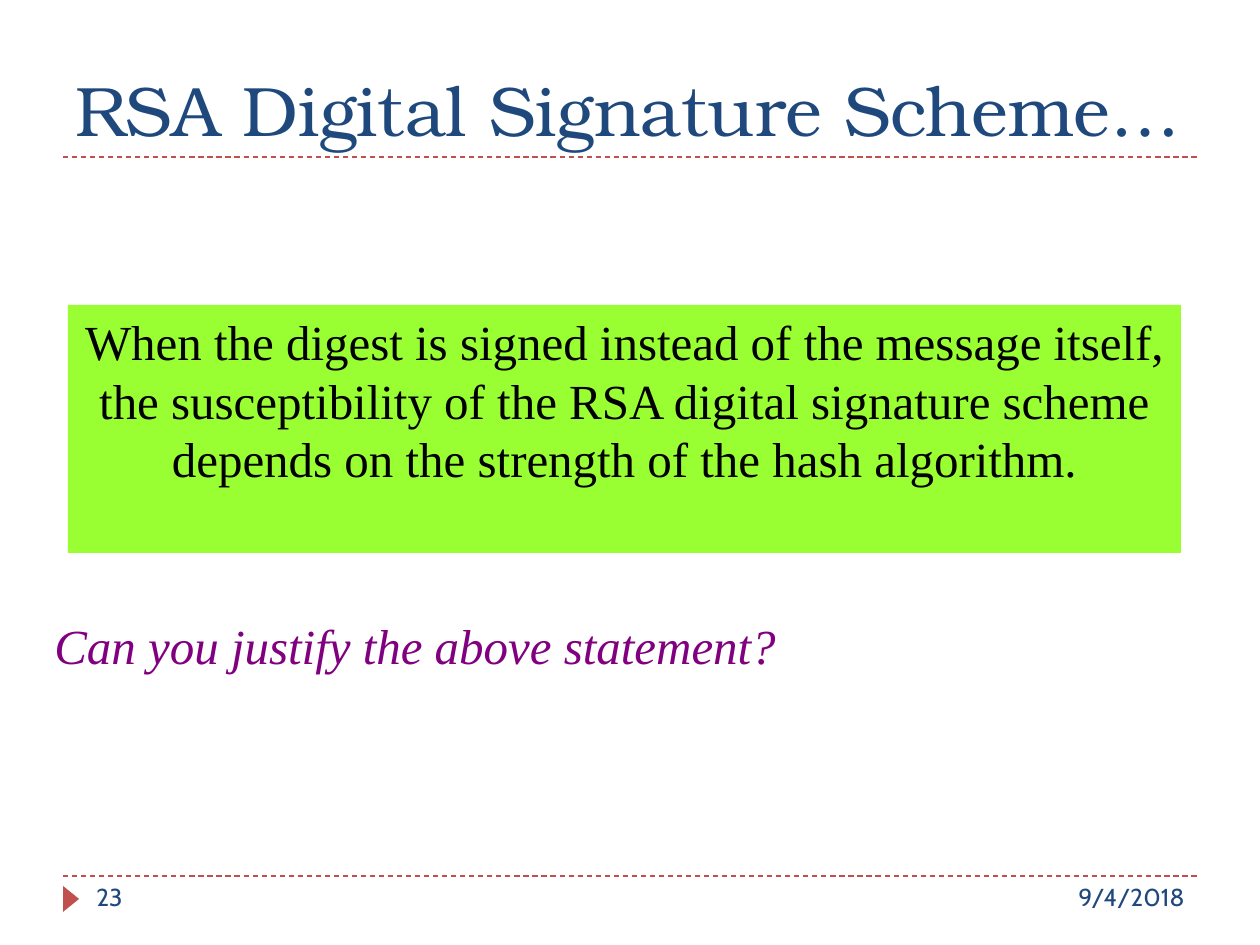
import pptx
import pptx.util
import pptx.dml.color
import pptx.enum.dml
import pptx.enum.shapes
import pptx.enum.text
from dataclasses import dataclass
from lxml import etree

SHAPE = pptx.enum.shapes.MSO_SHAPE
ALIGN = pptx.enum.text.PP_ALIGN
ANCHOR = pptx.enum.text.MSO_ANCHOR
PX = 914400 // 126


@dataclass(frozen=True)
class Theme:
    """Colours, fonts and type sizes of the slide."""
    navy: str = "1F497D"
    red: str = "C0504D"
    green: str = "99FF33"
    purple: str = "800080"
    black: str = "000000"
    white: str = "FFFFFF"
    title_font: str = "TeX Gyre Bonum"
    body_font: str = "Times New Roman"
    footer_font: str = "Cabin"
    title_size: int = 40
    body_size: int = 28
    footer_size: int = 14


def add_block(shapes, kind, box, fill):
    """Add a flat preset shape; box is left, top, width, height in pixels."""
    sp = shapes.add_shape(kind, *(v * PX for v in box))
    sp.shadow.inherit = False
    sp.fill.solid()
    sp.fill.fore_color.rgb = pptx.dml.color.RGBColor.from_string(fill)
    sp.line.fill.background()
    return sp


def write(sp, text, font, size, color, align=ALIGN.LEFT, anchor=ANCHOR.TOP, italic=False):
    """Put one wrapped paragraph of styled text into a shape."""
    tf = sp.text_frame
    tf.word_wrap = True
    tf.vertical_anchor = anchor
    p = tf.paragraphs[0]
    p.alignment = align
    r = p.add_run()
    r.text = text
    r.font.name = font
    r.font.size = pptx.util.Pt(size)
    r.font.italic = italic
    r.font.color.rgb = pptx.dml.color.RGBColor.from_string(color)


theme = Theme()
prs = pptx.Presentation()
prs.slide_width = 1260 * PX
prs.slide_height = 945 * PX
s = prs.slides.add_slide(prs.slide_layouts[6])

# Dashed rules under the title and above the footer
for y in (157, 876):
    rule = s.shapes.add_connector(pptx.enum.shapes.MSO_CONNECTOR.STRAIGHT,
                                  63 * PX, y * PX, 1197 * PX, y * PX)
    rule.line.color.rgb = pptx.dml.color.RGBColor.from_string(theme.red)
    rule.line.width = pptx.util.Pt(0.75)
    rule.line.dash_style = pptx.enum.dml.MSO_LINE.DASH
    etree.SubElement(rule.element.spPr, pptx.oxml.ns.qn("a:effectLst"))

marker = add_block(s.shapes, SHAPE.ISOSCELES_TRIANGLE, (58, 891, 26, 16), theme.red)
marker.rotation = 90

# Title and footer
title = s.shapes.add_textbox(*(v * PX for v in (63, 21, 1134, 136)))
write(title, "RSA Digital Signature Scheme…", theme.title_font, theme.title_size,
      theme.navy, anchor=ANCHOR.BOTTOM)

for text, left, width, align in (("9/4/2018", 882, 315, ALIGN.RIGHT),
                                 ("23", 84, 273, ALIGN.LEFT)):
    footer = s.shapes.add_textbox(*(v * PX for v in (left, 876, width, 50)))
    write(footer, text, theme.footer_font, theme.footer_size, theme.navy, align)

# Statement and question
statement = add_block(s.shapes, SHAPE.RECTANGLE, (68, 305, 1113, 248), theme.green)
write(statement,
      "When the digest is signed instead of the message itself, "
      "the susceptibility of the RSA digital signature scheme "
      "depends on the strength of the hash algorithm.",
      theme.body_font, theme.body_size, theme.black, ALIGN.CENTER)

question = add_block(s.shapes, SHAPE.RECTANGLE, (42, 609, 1197, 72), theme.white)
write(question, "Can you justify the above statement?", theme.body_font,
      theme.body_size, theme.purple, ALIGN.JUSTIFY, italic=True)

prs.save("out.pptx")
